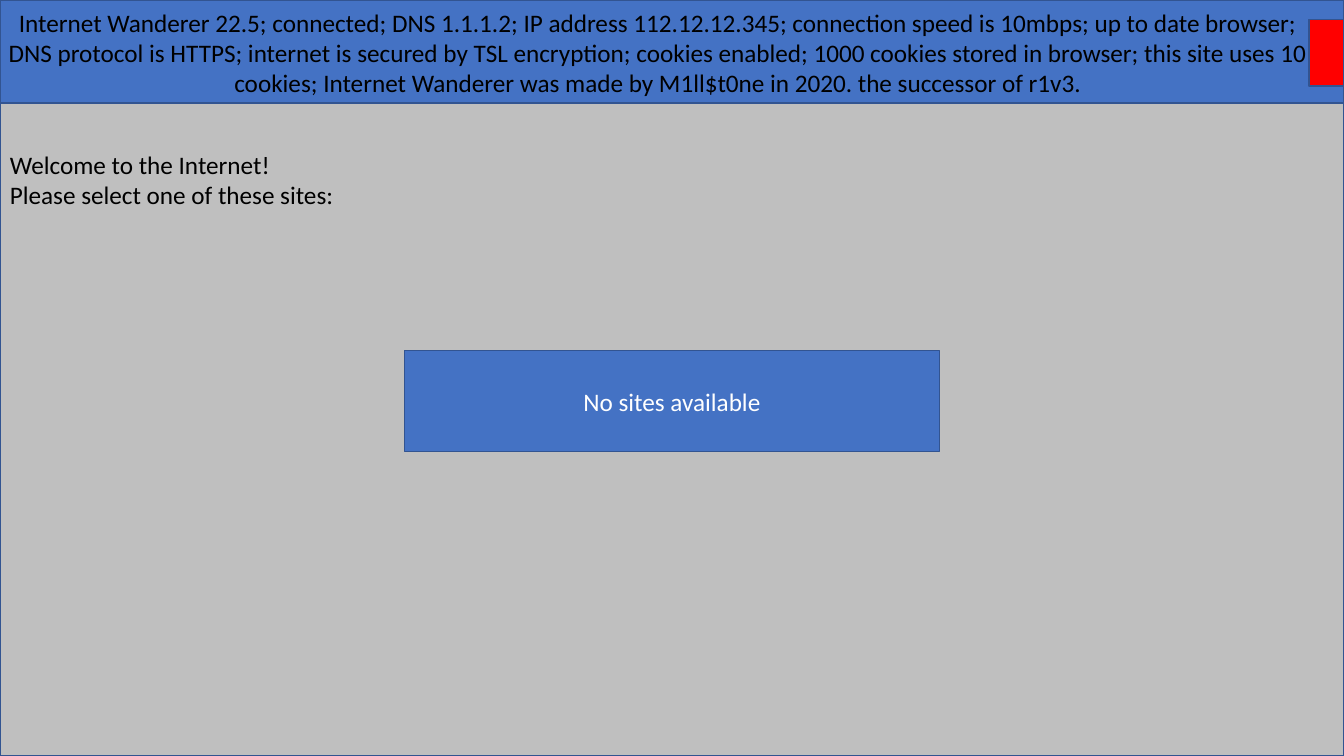
from pptx import Presentation
from pptx.dml.color import RGBColor
from pptx.enum.shapes import MSO_SHAPE
from pptx.enum.text import MSO_ANCHOR, PP_ALIGN
from pptx.util import Pt

SLIDE_WIDTH, SLIDE_HEIGHT = 960, 540
BAR_HEIGHT = 73.5
BLUE, GREY, RED, OUTLINE = "4472C4", "BFBFBF", "FF0000", "325491"
BLACK, WHITE = "000000", "FFFFFF"

STATUS_LINES = [
    "Internet Wanderer 22.5; connected; DNS 1.1.1.2; IP address 112.12.12.345; "
    "connection speed is 10mbps; up to date browser;",
    "DNS protocol is HTTPS; internet is secured by TSL encryption; cookies enabled; "
    "1000 cookies stored in browser; this site uses 10 cookies; "
    "Internet Wanderer was made by M1ll$t0ne in 2020. the successor of r1v3.",
]
WELCOME_LINES = ["Welcome to the Internet!", "Please select one of these sites:"]


def color(hex_string):
    return RGBColor.from_string(hex_string)


def write_lines(shape, lines, text_color, alignment):
    """Write each line as a paragraph of its own."""
    frame = shape.text_frame
    frame.word_wrap = True
    for index, line in enumerate(lines):
        paragraph = frame.paragraphs[0] if index == 0 else frame.add_paragraph()
        paragraph.alignment = alignment
        run = paragraph.add_run()
        run.text = line
        run.font.name = "Calibri"
        run.font.size = Pt(18)
        run.font.color.rgb = color(text_color)


def add_panel(slide, left, top, width, height, fill):
    shape = slide.shapes.add_shape(
        MSO_SHAPE.RECTANGLE, Pt(left), Pt(top), Pt(width), Pt(height))
    shape.shadow.inherit = False
    shape.fill.solid()
    shape.fill.fore_color.rgb = color(fill)
    shape.line.color.rgb = color(OUTLINE)
    shape.line.width = Pt(1)
    return shape


def add_text(slide, left, top, width, height, lines, alignment):
    box = slide.shapes.add_textbox(Pt(left), Pt(top), Pt(width), Pt(height))
    write_lines(box, lines, BLACK, alignment)


def add_button(slide, left, top, width, height, label):
    button = add_panel(slide, left, top, width, height, BLUE)
    button.text_frame.vertical_anchor = MSO_ANCHOR.MIDDLE
    write_lines(button, [label], WHITE, PP_ALIGN.CENTER)


def main():
    presentation = Presentation()
    presentation.slide_width = Pt(SLIDE_WIDTH)
    presentation.slide_height = Pt(SLIDE_HEIGHT)
    slide = presentation.slides.add_slide(presentation.slide_layouts[6])

    add_panel(slide, 0, 0, SLIDE_WIDTH, BAR_HEIGHT, BLUE)
    add_panel(slide, 0, BAR_HEIGHT, SLIDE_WIDTH, SLIDE_HEIGHT - BAR_HEIGHT, GREY)
    add_panel(slide, 935, 14, 25, 47.5, RED)
    add_text(slide, -19.5, 1.5, 979, 204, STATUS_LINES, PP_ALIGN.CENTER)
    add_text(slide, 0, 103, 950, 51, WELCOME_LINES, PP_ALIGN.LEFT)
    add_button(slide, 289, 250.5, 382, 72, "No sites available")

    presentation.save("out.pptx")


if __name__ == "__main__":
    main()
